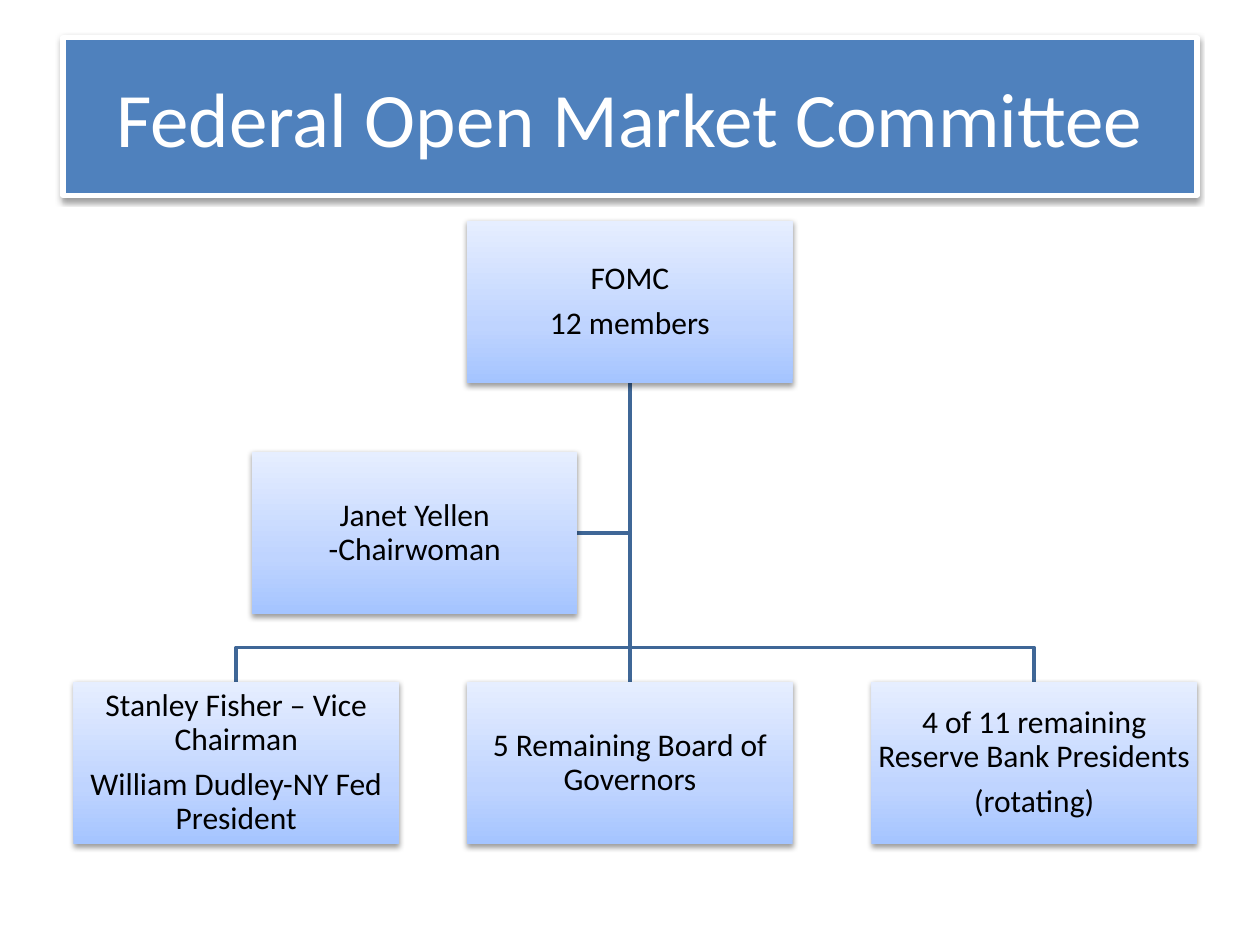
"""Build the Federal Open Market Committee organisation chart slide."""
import pptx
import pptx.dml.color
import pptx.enum.shapes
import pptx.enum.text
import pptx.oxml
import pptx.oxml.ns
import pptx.util

Pt = pptx.util.Pt
RGB = pptx.dml.color.RGBColor.from_string

TITLE = "Federal Open Market Committee"
ROOT = ["FOMC", "12 members"]
ASSISTANT = ["Janet Yellen -Chairwoman"]
MEMBERS = [
    (42, ["Stanley Fisher – Vice Chairman", "William Dudley-NY Fed President"]),
    (267, ["5 Remaining Board of Governors"]),
    (498, ["4 of 11 remaining Reserve Bank Presidents", "(rotating)"]),
]

COLORS = {"title": "4F81BD", "white": "FFFFFF", "black": "000000", "line": "3F6797"}
STOPS = [(0, "A4C4FF"), (35, "BFD4FF"), (100, "E6EEFF")]
BOX_W, BOX_H = 186, 93
ROOT_X, ROOT_Y = 267, 126
ASSISTANT_X, ASSISTANT_Y = 144, 258
MEMBER_Y, BUS_Y = 389.5, 370
TITLE_STYLE = {"size": Pt(44), "name": "Calibri"}
BOX_STYLE = {"size": Pt(18), "name": "Calibri"}
BOX_SPACING = {"line_spacing": 0.9, "space_after": Pt(6.3)}
BOX_FRAME = {f"margin_{side}": Pt(0.9) for side in ("left", "right", "top", "bottom")}

GRADIENT = "<a:gradFill {ns}><a:gsLst>{stops}</a:gsLst><a:lin ang='16200000' scaled='0'/></a:gradFill>"
STOP = "<a:gs pos='{}'><a:srgbClr val='{}'/></a:gs>"
SHADOW = (
    "<a:effectLst {ns}><a:outerShdw blurRad='{blur}' dist='{dist}' dir='5400000' rotWithShape='0'>"
    "<a:srgbClr val='{color}'><a:alpha val='38000'/></a:srgbClr></a:outerShdw></a:effectLst>"
)
NS = pptx.oxml.ns.nsdecls("a")


def apply(target, values):
    """Set each named attribute on the target."""
    for name, value in values.items():
        setattr(target, name, value)


def add_shadow(sp):
    """Give the shape a soft shadow straight below it."""
    xml = SHADOW.format(ns=NS, blur=Pt(3.1), dist=Pt(1.6), color=COLORS["black"])
    spPr = sp._element.spPr
    for old in spPr.findall(pptx.oxml.ns.qn("a:effectLst")):
        spPr.remove(old)
    spPr.append(pptx.oxml.parse_xml(xml))


def add_panel(slide, bounds, texts, style, color, spacing, frame):
    """Add a shadowed rectangle with centred paragraphs."""
    kind = pptx.enum.shapes.MSO_SHAPE.RECTANGLE
    sp = slide.shapes.add_shape(kind, *map(Pt, bounds))
    sp.line.fill.background()
    tf = sp.text_frame
    apply(tf, {"word_wrap": True, "vertical_anchor": pptx.enum.text.MSO_ANCHOR.MIDDLE, **frame})
    for i, text in enumerate(texts):
        p = tf.add_paragraph() if i else tf.paragraphs[0]
        apply(p, {"alignment": pptx.enum.text.PP_ALIGN.CENTER, **spacing})
        r = p.add_run()
        r.text = text
        apply(r.font, style)
        r.font.color.rgb = RGB(color)
    return sp


def add_title(slide):
    """Add the solid title banner with its white border."""
    sp = add_panel(slide, (36, 21.6, 648, 90), [TITLE], TITLE_STYLE, COLORS["white"], {}, {})
    sp.fill.solid()
    sp.fill.fore_color.rgb = RGB(COLORS["title"])
    sp.line.color.rgb = RGB(COLORS["white"])
    sp.line.width = Pt(3)
    add_shadow(sp)


def add_box(slide, x, y, texts):
    """Add one gradient box of the chart."""
    bounds = (x, y, BOX_W, BOX_H)
    sp = add_panel(slide, bounds, texts, BOX_STYLE, COLORS["black"], BOX_SPACING, BOX_FRAME)
    stops = "".join(STOP.format(pos * 1000, color) for pos, color in STOPS)
    gradient = pptx.oxml.parse_xml(GRADIENT.format(ns=NS, stops=stops))
    sp._element.spPr.find(pptx.oxml.ns.qn("a:prstGeom")).addnext(gradient)
    add_shadow(sp)


def add_link(slide, points):
    """Add an open elbow line through the points."""
    start, *rest = [(Pt(x), Pt(y)) for x, y in points]
    builder = slide.shapes.build_freeform(*start)
    builder.add_line_segments(rest, close=False)
    sp = builder.convert_to_shape()
    sp.shadow.inherit = False
    sp.fill.background()
    sp.line.color.rgb = RGB(COLORS["line"])
    sp.line.width = Pt(2)


def main():
    """Lay out the title, links and boxes, then save."""
    prs = pptx.Presentation()
    prs.slide_width, prs.slide_height = Pt(720), Pt(540)
    slide = prs.slides.add_slide(prs.slide_layouts[6])
    add_title(slide)

    trunk_x, trunk_y = ROOT_X + BOX_W / 2, ROOT_Y + BOX_H
    side_y = ASSISTANT_Y + BOX_H / 2
    add_link(slide, [(trunk_x, trunk_y), (trunk_x, side_y), (ASSISTANT_X + BOX_W, side_y)])
    for x, _ in MEMBERS:
        center = x + BOX_W / 2
        elbow = [] if center == trunk_x else [(trunk_x, BUS_Y), (center, BUS_Y)]
        add_link(slide, [(trunk_x, trunk_y), *elbow, (center, MEMBER_Y)])

    add_box(slide, ROOT_X, ROOT_Y, ROOT)
    for x, texts in MEMBERS:
        add_box(slide, x, MEMBER_Y, texts)
    add_box(slide, ASSISTANT_X, ASSISTANT_Y, ASSISTANT)
    prs.save("out.pptx")


if __name__ == "__main__":
    main()
